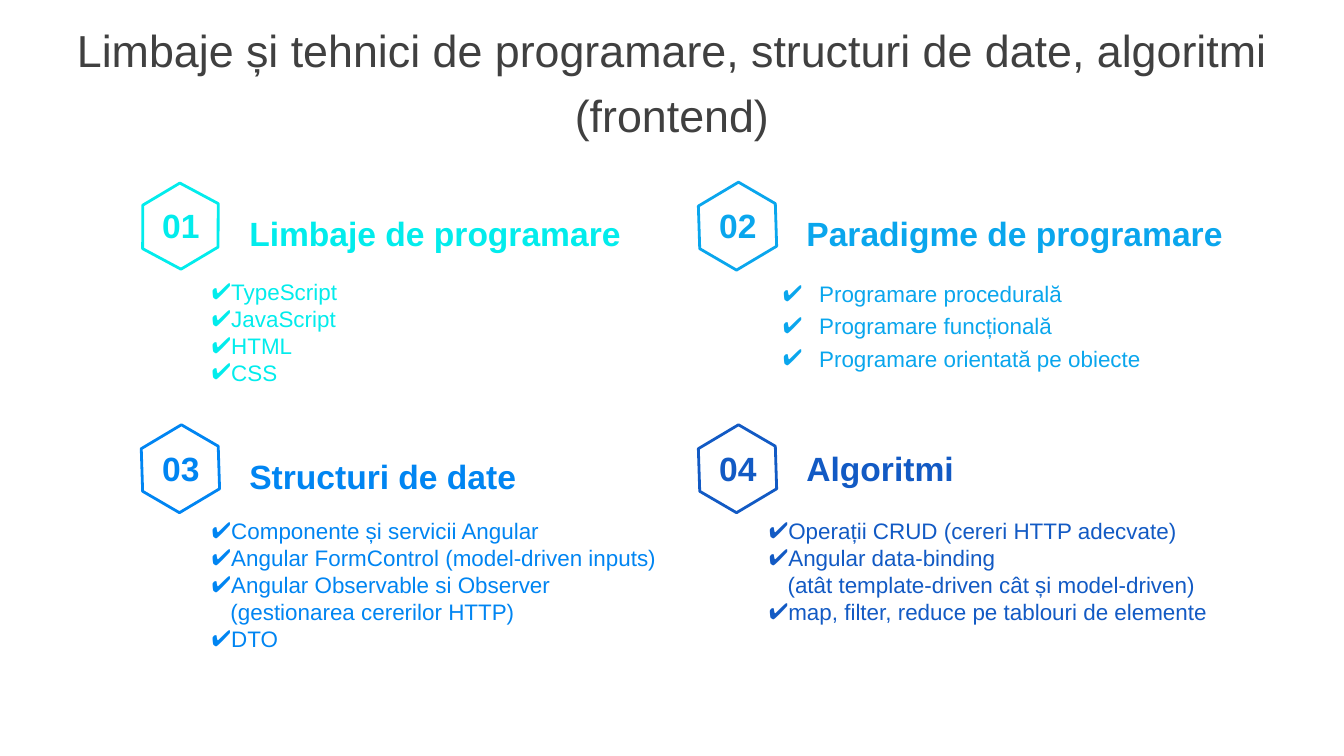
from lxml import etree
from pptx import Presentation
from pptx import util as u
from pptx.dml.color import RGBColor
from pptx.enum import shapes, text
from pptx.oxml.ns import qn

FONT = "Arial"
COLUMN_LEFTS = (2.03, 10.32)
ROW_TOPS = (2.81, 6.42)
TIGHT = dict(indent=0.28, hanging=0.28)
WIDE = dict(indent=0.75, hanging=0.54, spacing=1.2)

SECTIONS = [
    dict(title="Limbaje de programare", color="02ECEC", corner=0.301,
         list_top=4.07, list_size=(4.33, 1.77), list_format=TIGHT,
         items=["TypeScript", "JavaScript", "HTML", "CSS"]),
    dict(title="Paradigme de programare", color="0AA6ED",
         list_top=4.02, list_size=(7.06, 1.52), list_format=WIDE,
         items=["Programare procedurală", "Programare funcțională",
                "Programare orientată pe obiecte"]),
    dict(title="Structuri de date", color="0085F2",
         list_top=7.63, list_size=(6.84, 2.17), list_format=TIGHT,
         items=["Componente și servicii Angular",
                "Angular FormControl (model-driven inputs)",
                "Angular Observable si Observer (gestionarea cererilor HTTP)",
                "DTO"]),
    dict(title="Algoritmi", color="125AC4", title_spacing=None,
         list_top=7.63, list_size=(6.84, 1.77), list_format=TIGHT,
         items=["Operații CRUD (cereri HTTP adecvate)",
                "Angular data-binding\v(atât template-driven cât și model-driven)",
                "map, filter, reduce pe tablouri de elemente"]),
]


def rgb(value):
    return RGBColor.from_string(value)


def add_bullet(para, color, indent, hanging):
    properties = para._p.get_or_add_pPr()
    properties.set("marL", str(u.Inches(indent)))
    properties.set("indent", str(-u.Inches(hanging)))
    bullet_color = etree.SubElement(properties, qn("a:buClr"))
    etree.SubElement(bullet_color, qn("a:srgbClr"), val=color)
    etree.SubElement(properties, qn("a:buFont"), typeface=FONT)
    etree.SubElement(properties, qn("a:buChar"), char="✔")


def write(para, content, size=24, color="404040", bold=False, align=None,
          spacing=None, indent=None, hanging=0):
    if indent is not None:
        add_bullet(para, color, indent, hanging)
    para.text = content
    para.alignment = align
    para.line_spacing = spacing
    for span in para.runs:
        span.font.name = FONT
        span.font.size = u.Pt(size)
        span.font.bold = bold
        span.font.color.rgb = rgb(color)


def add_text(page, area, lines, insets=(0.18, 0.07, 0.18, 0.07),
             anchor=text.MSO_ANCHOR.TOP, **style):
    box = page.shapes.add_textbox(*map(u.Inches, area))
    frame = box.text_frame
    frame.word_wrap = True
    frame.vertical_anchor = anchor
    (frame.margin_left, frame.margin_top,
     frame.margin_right, frame.margin_bottom) = map(u.Inches, insets)
    for index, line in enumerate(lines):
        para = frame.add_paragraph() if index else frame.paragraphs[0]
        write(para, line, **style)
    return box


def add_hexagon(page, left, top, color, corner):
    hexagon = page.shapes.add_shape(
        shapes.MSO_SHAPE.HEXAGON, *map(u.Inches, (left, top, 1.31, 1.11)))
    hexagon.adjustments[0] = corner
    hexagon.rotation = 329.2
    hexagon.shadow.inherit = False
    hexagon.fill.background()
    hexagon.line.color.rgb = rgb(color)
    hexagon.line.width = u.Pt(3)


def add_section(page, number, left, top, title, color, items, list_top,
                list_size, list_format, corner=0.277, title_spacing=1.2):
    add_text(page, (left + 1.5, top + 0.17, 6.61, 0.76), [title],
             size=36, color=color, bold=True, spacing=title_spacing)
    add_text(page, (left + 1.12, list_top, *list_size), items,
             insets=(0, 0.07, 0.15, 0.07), color=color, **list_format)
    add_hexagon(page, left, top, color, corner)
    add_text(page, (left + 0.19, top + 0.17, 0.94, 0.76), [f"{number:02}"],
             size=36, color=color, bold=True, align=text.PP_ALIGN.CENTER)


def main():
    deck = Presentation()
    deck.slide_width, deck.slide_height = u.Inches(20), u.Inches(11.25)
    page = deck.slides.add_slide(deck.slide_layouts[6])
    page.background.fill.solid()
    page.background.fill.fore_color.rgb = rgb("FFFFFF")

    heading = add_text(
        page, (0, 0.44, 20, 1.57),
        ["Limbaje și tehnici de programare, structuri de date, algoritmi",
         "(frontend)"],
        insets=(0.1, 0.05, 0.1, 0.05), anchor=text.MSO_ANCHOR.MIDDLE,
        size=48, align=text.PP_ALIGN.CENTER)
    heading.text_frame.paragraphs[1].line_spacing = 1.2

    for index, section in enumerate(SECTIONS):
        row, column = divmod(index, 2)
        add_section(page, index + 1, COLUMN_LEFTS[column], ROW_TOPS[row], **section)
    deck.save("out.pptx")


if __name__ == "__main__":
    main()
